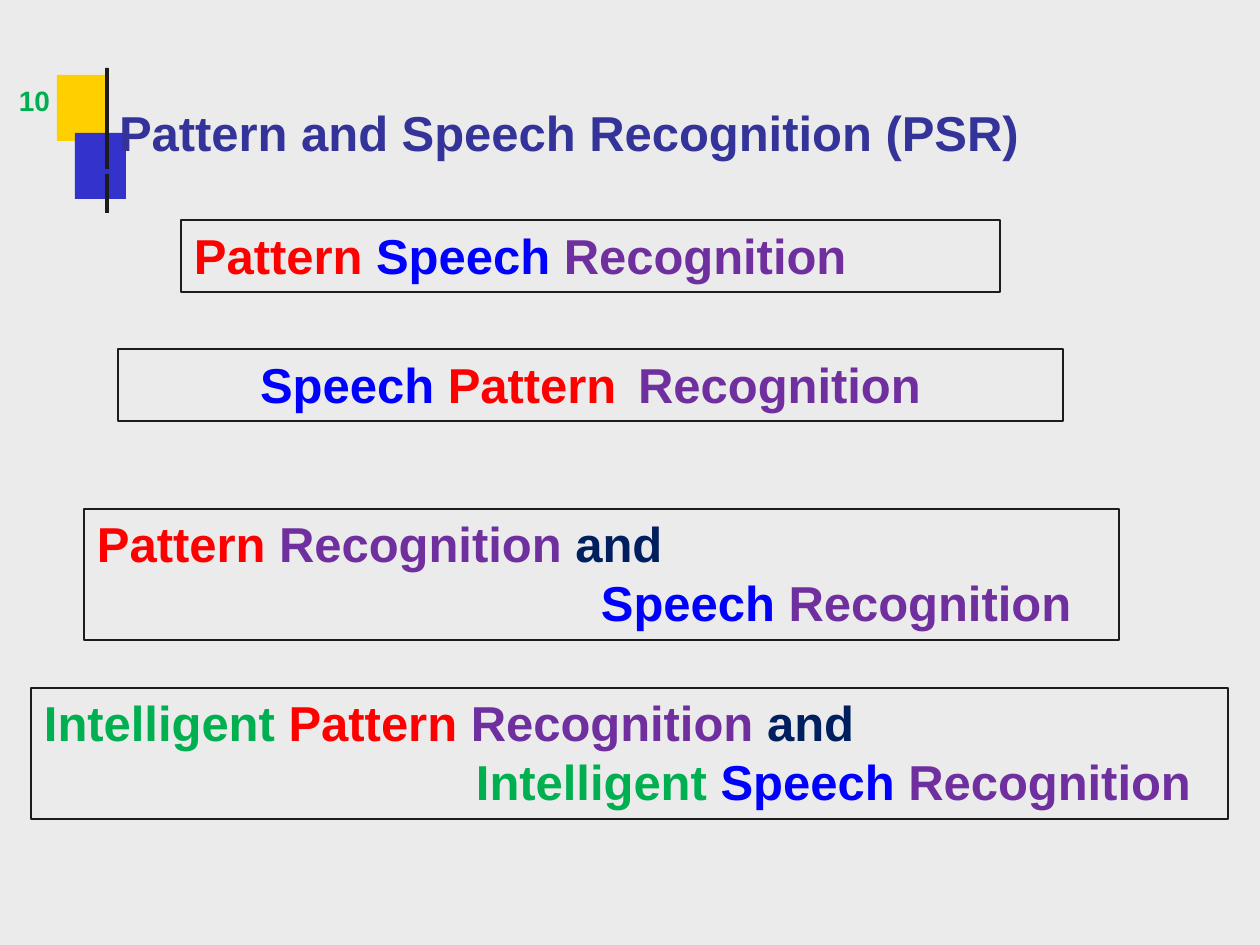
"""Build the Pattern and Speech Recognition title slide with its four boxed phrases."""
from lxml import etree
from pptx import Presentation, util as u
from pptx.dml.color import RGBColor
from pptx.enum import shapes, text
from pptx.oxml import ns

PX = 914400 / 126
RED, BLUE, PURPLE, GREEN, NAVY = "FF0000", "0000FF", "6F2F9F", "00AF50", "001F5F"
DARK = "1C1C1C"


def rgb(color):
    return RGBColor.from_string(color)


def write(tf, lines, size=28, top=5, indents=(13,), before=0.9, spacing=None, align="LEFT"):
    tf.word_wrap = True
    tf.auto_size = text.MSO_AUTO_SIZE.NONE
    tf.vertical_anchor = text.MSO_ANCHOR.TOP
    tf.margin_left = tf.margin_right = tf.margin_bottom = 0
    tf.margin_top = int(top * PX)
    for i, (runs, indent) in enumerate(zip(lines, indents)):
        p = tf.add_paragraph() if i else tf.paragraphs[0]
        p.alignment = getattr(text.PP_ALIGN, align)
        p.space_before = u.Pt(0 if i else before)
        if spacing:
            p.line_spacing = u.Pt(spacing)
        pPr = p._p.get_or_add_pPr()
        pPr.set("marL", str(int(indent * PX)))
        pPr.set("indent", "0")
        if any("\t" in words for words, color in runs):
            tabs = etree.SubElement(pPr, ns.qn("a:tabLst"))
            etree.SubElement(tabs, ns.qn("a:tab"), pos=str(int(384 * PX)), algn="l")
        for words, color in runs:
            r = p.add_run()
            r.text = words
            r.font.name, r.font.size, r.font.bold = "Arial", u.Pt(size), True
            r.font.color.rgb = rgb(color)


prs = Presentation()
prs.slide_width, prs.slide_height = u.Inches(10), u.Inches(7.5)
s = prs.slides.add_slide(prs.slide_layouts[5])
s.background.fill.solid()
s.background.fill.fore_color.rgb = rgb("EBEBEB")

ornaments = [
    ((57, 75, 52, 66), "FFCF00"),
    ((75, 133, 51, 66), "3333CC"),
    ((105, 68, 4, 101), DARK),
    ((105, 174, 4, 39), DARK),
]
for box, color in ornaments:
    sp = s.shapes.add_shape(shapes.MSO_SHAPE.RECTANGLE, *(int(v * PX) for v in box))
    sp.shadow.inherit = False
    sp.fill.solid()
    sp.fill.fore_color.rgb = rgb(color)
    sp.line.fill.background()

title = s.shapes.title
title.left, title.top, title.width, title.height = (int(v * PX) for v in (106, 32, 1024, 139))
write(title.text_frame, [[("Pattern and Speech Recognition (PSR)", "333399")]], top=71)
title.element.getparent().append(title.element)

number = s.shapes.add_textbox(*(int(v * PX) for v in (18, 83, 36, 37)))
write(number.text_frame, [[("10", GREEN)]], size=16, top=1, indents=(1,))

phrases = [
    ((181, 220, 819, 72),
     [[("Pattern ", RED), ("Speech ", BLUE), ("Recognition", PURPLE)]],
     dict(before=2.8)),
    ((118, 349, 945, 72),
     [[("Speech ", BLUE), ("Pattern\t", RED), ("Recognition", PURPLE)]],
     dict(before=2.8, indents=(0,), align="CENTER")),
    ((84, 509, 1035, 131),
     [[("Pattern ", RED), ("Recognition ", PURPLE), ("and", NAVY)],
      [("Speech ", BLUE), ("Recognition", PURPLE)]],
     dict(before=2.9, indents=(13, 517), spacing=33.5)),
    ((31, 688, 1197, 131),
     [[("Intelligent ", GREEN), ("Pattern ", RED), ("Recognition ", PURPLE), ("and", NAVY)],
      [("Intelligent ", GREEN), ("Speech ", BLUE), ("Recognition", PURPLE)]],
     dict(before=2.9, indents=(13, 445), spacing=33.5)),
]
for box, lines, layout in phrases:
    sp = s.shapes.add_shape(shapes.MSO_SHAPE.RECTANGLE, *(int(v * PX) for v in box))
    sp.shadow.inherit = False
    sp.fill.background()
    sp.line.color.rgb = rgb(DARK)
    sp.line.width = u.Pt(1.25)
    write(sp.text_frame, lines, **layout)

prs.save("out.pptx")
